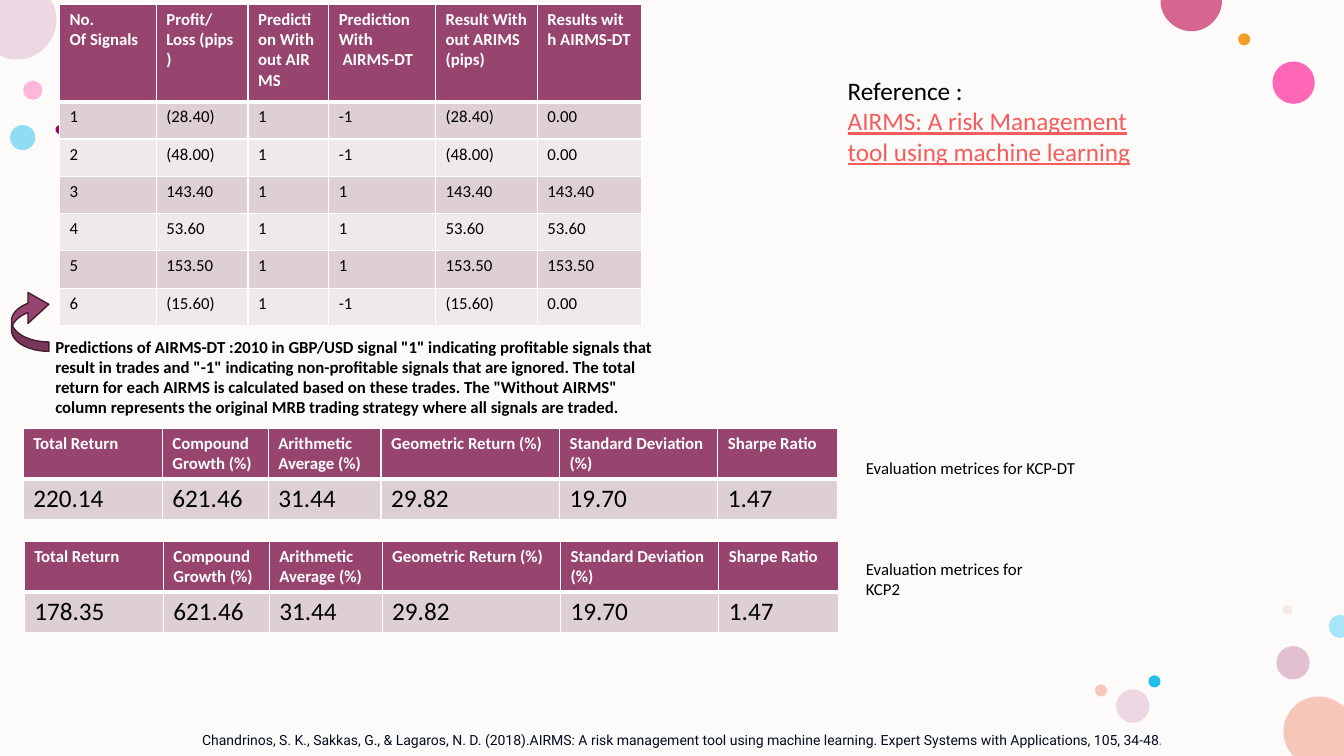
"""Build the slide of signal results and return metrics."""
import dataclasses

import lxml.etree
import pptx
import pptx.dml.color
import pptx.enum.shapes
import pptx.enum.text
import pptx.oxml.ns
import pptx.util

Inches = pptx.util.Inches
KINDS = pptx.enum.shapes.MSO_SHAPE
WIDE, HIGH = 13.33, 7.5


@dataclasses.dataclass(frozen=True)
class Theme:
    """Hold the colours, fonts and type sizes."""
    page: str = "FDFBF9"
    plum: str = "97446E"
    edge: str = "421E30"
    dark: str = "DDCFD5"
    pale: str = "EFE9EB"
    white: str = "FFFFFF"
    black: str = "000000"
    coral: str = "F55D5D"
    navy: str = "020C21"
    grey: str = "8C8C8C"
    pink: str = "FF75BD"
    mauve: str = "C987A8"
    blue: str = "24BEEE"
    hot: str = "FF2F9C"
    gold: str = "F39E29"
    blush: str = "E3BEBE"
    lilac: str = "EDD7E2"
    peach: str = "F6C7B9"
    rose: str = "D6658F"
    wine: str = "A40056"
    sky: str = "A7E5F8"
    sans: str = "Calibri"
    cite: str = "Roboto"
    tiny: int = 10
    small: int = 12
    large: int = 18


THEME = Theme()

DOTS = [
    (0.23, 0.8, 0.19, THEME.pink, 50), (1.04, 0.15, 0.12, THEME.gold, 50),
    (12.66, 6.41, 0.33, THEME.mauve, 50), (0.1, 1.24, 0.25, THEME.blue, 50),
    (12.62, 0.61, 0.42, THEME.hot, 72), (12.28, 0.33, 0.12, THEME.gold, 100),
    (12.72, 6, 0.1, THEME.blush, 28), (11.39, 6.7, 0.12, THEME.blue, 100),
    (11.07, 6.84, 0.33, THEME.lilac, 100), (10.86, 6.79, 0.12, THEME.peach, 100),
    (0.55, 1.24, 0.09, THEME.wine, 100),
]
DISCS = [
    (THEME.peach, [(13.08, 6.91), (13.18, 6.91, 13.26, 6.95, 13.33, 7.01),
                   (13.33, 7.5), (12.83, 7.5), (12.81, 7.48),
                   (12.76, 7.42, 12.73, 7.34, 12.73, 7.26),
                   (12.73, 7.06, 12.89, 6.91, 13.08, 6.91)]),
    (THEME.lilac, [(0, 0), (0.5, 0), (0.53, 0.05),
                   (0.55, 0.09, 0.56, 0.14, 0.56, 0.2),
                   (0.56, 0.41, 0.38, 0.59, 0.17, 0.59),
                   (0.11, 0.59, 0.06, 0.58, 0.02, 0.56), (0, 0.55)]),
    (THEME.rose, [(11.52, 0), (12.12, 0), (12.12, 0.01),
                  (12.12, 0.17, 11.98, 0.31, 11.82, 0.31),
                  (11.65, 0.31, 11.51, 0.17, 11.51, 0.01)]),
    (THEME.sky, [(13.29, 6.1), (13.33, 6.11), (13.33, 6.32), (13.29, 6.33),
                 (13.23, 6.33, 13.18, 6.28, 13.18, 6.21),
                 (13.18, 6.15, 13.23, 6.1, 13.29, 6.1)]),
]
TRADES = [
    ["No. Of~Signals", "Profit/Loss~(pips)", "Prediction~Without~AIRMS",
     "Prediction~With\n~AIRMS-DT", "Result~Without~ARIMS\n(pips)",
     "Results~with~AIRMS-DT"],
    ["1", "(28.40)", "1", "-1", "(28.40)", "0.00"],
    ["2", "(48.00)", "1", "-1", "(48.00)", "0.00"],
    ["3", "143.40", "1", "1", "143.40", "143.40"],
    ["4", "53.60", "1", "1", "53.60", "53.60"],
    ["5", "153.50", "1", "1", "153.50", "153.50"],
    ["6", "(15.60)", "1", "-1", "(15.60)", "0.00"],
]
HEADS = ["Total Return", "Compound~Growth (%)", "Arithmetic Average~(%)",
         "Geometric Return (%)", "Standard~Deviation (%)", "Sharpe Ratio"]
SHARED = ["621.46", "31.44", "29.82", "19.70", "1.47"]
NOTE = ('Predictions of AIRMS-DT :2010 in GBP/USD signal~"1" indicating profitable '
        'signals that result in trades and "-1" indicating non-profitable signals '
        'that are ignored. The total return for each AIRMS is calculated based on '
        'these trades. The "Without AIRMS" column represents the original MRB '
        'trading strategy where all signals are traded.')
SOURCE = ("Chandrinos, S. K., Sakkas, G., & Lagaros, N. D. (2018).AIRMS: A risk "
          "management tool using machine learning. Expert Systems with "
          "Applications, 105, 34-48")


def tint(code):
    """Turn a hex code into a colour."""
    return pptx.dml.color.RGBColor.from_string(code)


def tie(text):
    """Turn each tilde into a space that does not break."""
    return text.replace("~", chr(160))


def style(font, color=THEME.black, **form):
    """Set a font from a dict of format values."""
    base = {"name": THEME.sans, "size": THEME.small, "bold": False}
    for key, value in {**base, **form}.items():
        setattr(font, key, pptx.util.Pt(value) if key == "size" else value)
    font.color.rgb = tint(color)


def paint(shape, color, alpha=100):
    """Fill a shape and drop its line and shadow."""
    shape.shadow.inherit = False
    shape.fill.solid()
    shape.fill.fore_color.rgb = tint(color)
    shape.line.fill.background()
    if alpha < 100:
        node = shape.element.spPr.find(".//" + pptx.oxml.ns.qn("a:srgbClr"))
        lxml.etree.SubElement(node, pptx.oxml.ns.qn("a:alpha"), val=str(alpha * 1000))


def form(slide, kind, left, top, width, height, color, alpha=100):
    """Add a filled preset shape."""
    shape = slide.shapes.add_shape(
        kind, Inches(left), Inches(top), Inches(width), Inches(height))
    paint(shape, color, alpha)
    return shape


def disc(slide, color, steps):
    """Add a cut circle; a step of six numbers is a curve."""
    points = [(Inches(x), Inches(y)) for step in steps
              for x, y in zip(step[::2], step[1::2])]
    build = slide.shapes.build_freeform(*points[0])
    build.add_line_segments(points[1:])
    shape = build.convert_to_shape()
    lines = iter(shape.element.findall(".//" + pptx.oxml.ns.qn("a:lnTo")))
    for step in steps[1:]:
        line = next(lines)
        if len(step) == 6:
            line.tag = pptx.oxml.ns.qn("a:cubicBezTo")
            for _ in range(2):
                extra = next(lines)
                line.append(extra[0])
                extra.getparent().remove(extra)
    paint(shape, color)


def arrow(slide):
    """Add the curved arrow beside the trades."""
    shape = form(slide, KINDS.CURVED_UP_ARROW, -0.01, 2.99, 0.62, 0.37, THEME.plum)
    shape.line.color.rgb = tint(THEME.edge)
    shape.line.width = pptx.util.Pt(1)
    for index, value in enumerate((0.25, 0.83, 0.56)):
        shape.adjustments[index] = value
    shape.rotation = 90
    shape.element.spPr.xfrm.set("flipH", "1")


def border(cell, top, base):
    """Draw the white lines round a cell."""
    frame = cell._tc.get_or_add_tcPr()
    for side, width in zip("LRTB", (1, 1, top, base)):
        line = lxml.etree.SubElement(
            frame, pptx.oxml.ns.qn("a:ln" + side), w=str(pptx.util.Pt(width)))
        fill = lxml.etree.SubElement(line, pptx.oxml.ns.qn("a:solidFill"))
        lxml.etree.SubElement(fill, pptx.oxml.ns.qn("a:srgbClr"), val=THEME.white)


def grid(slide, left, top, widths, heights, rows, size):
    """Add a table with a plum head and banded rows."""
    table = slide.shapes.add_table(
        len(rows), len(widths), Inches(left), Inches(top),
        Inches(sum(widths)), Inches(sum(heights))).table
    for column, width in zip(table.columns, widths):
        column.width = Inches(width)
    for index, (row, height, words) in enumerate(zip(table.rows, heights, rows)):
        row.height = Inches(height)
        head = index == 0
        band = THEME.plum if head else (THEME.pale, THEME.dark)[index % 2]
        look = {"color": THEME.white, "bold": True} if head else {"size": size}
        for cell, text in zip(row.cells, words):
            border(cell, 3 if index == 1 else 1, 3 if head else 1)
            cell.fill.solid()
            cell.fill.fore_color.rgb = tint(band)
            cell.text = tie(text)
            for part in cell.text_frame.paragraphs:
                style(part.runs[0].font, **look)


def label(slide, left, top, width, height, lines):
    """Add a text box of lines, each a list of text and format pairs."""
    frame = slide.shapes.add_textbox(
        Inches(left), Inches(top), Inches(width), Inches(height)).text_frame
    frame.word_wrap = True
    for index, line in enumerate(lines):
        part = frame.add_paragraph() if index else frame.paragraphs[0]
        for text, look in line:
            run = part.add_run()
            run.text = tie(text)
            style(run.font, **look)
    return frame


def main():
    """Draw the slide and save it."""
    deck = pptx.Presentation()
    deck.slide_width, deck.slide_height = Inches(WIDE), Inches(HIGH)
    slide = deck.slides.add_slide(deck.slide_layouts[6])
    form(slide, KINDS.RECTANGLE, 0, 0, WIDE, HIGH, THEME.page)
    for left, top, size, color, alpha in DOTS:
        form(slide, KINDS.OVAL, left, top, size, size, color, alpha)
    for color, steps in DISCS:
        disc(slide, color, steps)
    grid(slide, 0.59, 0.04, (0.96, 0.91, 0.8, 1.06, 1.01, 1.03),
         [0.97] + [0.37] * 6, TRADES, THEME.small)
    label(slide, 0.45, 3.29, 6.16, 0.91, [[(NOTE, {"bold": True})]])
    arrow(slide)
    for left, top, total in ((0.23, 4.25, "220.14"), (0.24, 5.37, "178.35")):
        grid(slide, left, top, (1.38, 1.05, 1.12, 1.77, 1.57, 1.19),
             (0.4, 0.4), [HEADS, [total] + SHARED], THEME.large)
    for top, width, height, name in ((4.49, 2.35, 0.3, "KCP-DT"), (5.49, 2.1, 0.5, "KCP2")):
        label(slide, 8.49, top, width, height, [[("Evaluation metrices for " + name, {})]])
    label(slide, 8.31, 0.7, 3.33, 1.31, [
        [("Reference :", {"size": THEME.large})],
        [("AIRMS: A risk Management tool using machine learning",
          {"size": THEME.large, "color": THEME.coral, "underline": True})]])
    foot = label(slide, 1.67, 7.05, 10.19, 0.58, [[
        (SOURCE, {"size": THEME.tiny, "name": THEME.cite, "color": THEME.navy}),
        (".", {"size": THEME.tiny, "color": THEME.grey})]])
    foot.vertical_anchor = pptx.enum.text.MSO_ANCHOR.MIDDLE
    foot.paragraphs[0].alignment = pptx.enum.text.PP_ALIGN.CENTER
    deck.save("out.pptx")


if __name__ == "__main__":
    main()
